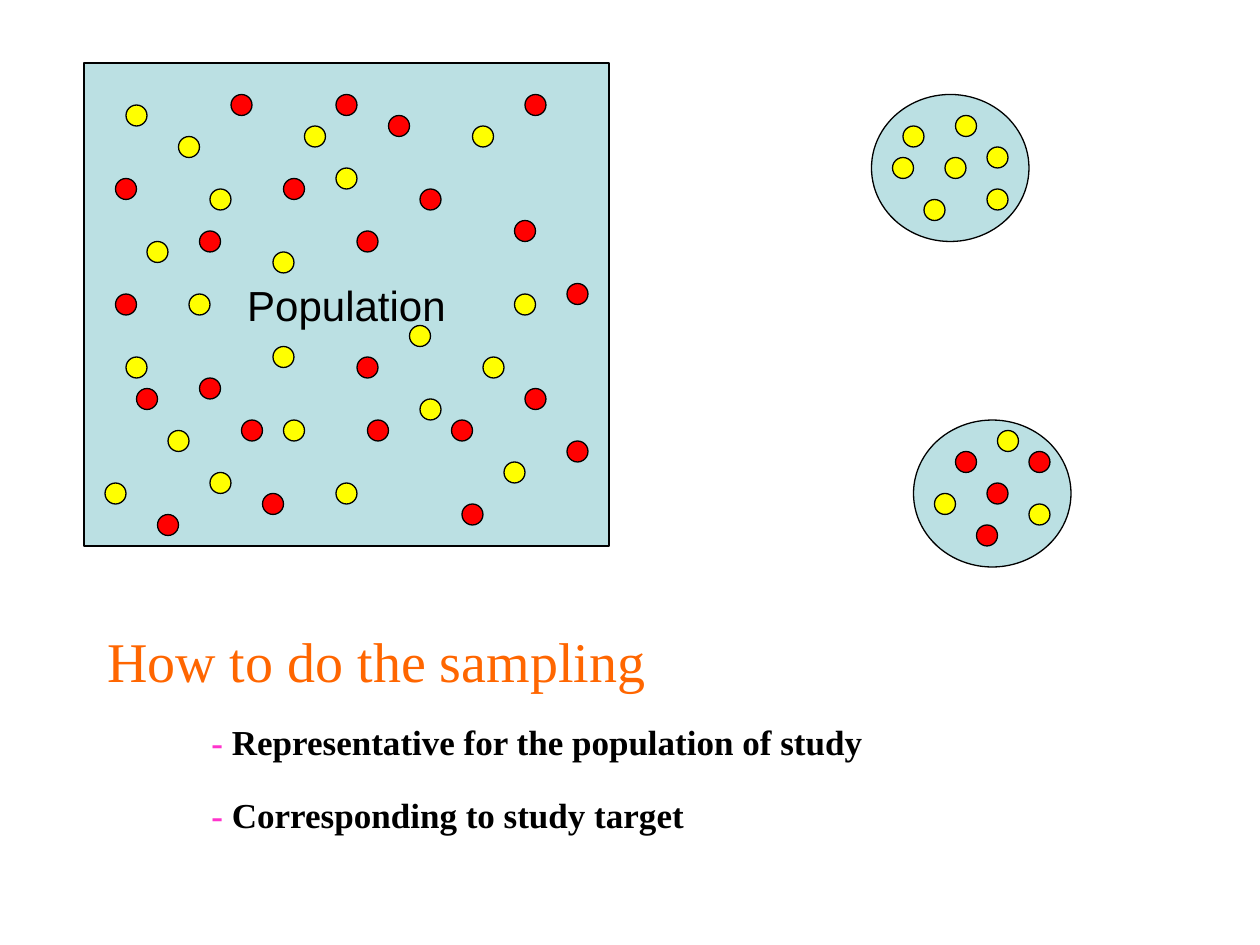
from dataclasses import dataclass
from pptx import Presentation
from pptx.dml.color import RGBColor as RGB
from pptx.enum.shapes import MSO_SHAPE as Shape
from pptx.enum.text import MSO_ANCHOR as Anchor, MSO_AUTO_SIZE as AutoSize, PP_ALIGN as Align
from pptx.util import Inches, Pt


@dataclass(frozen=True)
class Theme:
    area: str = "BBE0E3"
    yellow: str = "FFFF00"
    red: str = "FF0000"
    ink: str = "000000"
    heading: str = "FF6600"
    dash: str = "FF33CC"
    sans: str = "Arial"
    serif: str = "Times New Roman"
    label_size: int = 24
    heading_size: int = 32
    point_size: int = 20
    line: float = 0.75


T = Theme()
GRID = 12
DOT = 2

LABEL = "Population"
HEADING = "How to do the sampling"
POINTS = [
    ("Representative for the population of study", 5.67, 5.83),
    ("Corresponding to study target", 6.25, 4.83),
]

# Grid cells are twelfths of an inch.
POPULATION = (8, 6, 50, 46)
SAMPLES = [(83, 9, 15, 14), (87, 40, 15, 14)]
DOTS = {
    T.yellow: [
        (12, 10), (32, 16), (17, 13), (14, 23), (12, 34), (16, 41), (27, 40),
        (48, 44), (29, 12), (45, 12), (49, 28), (39, 31), (40, 38), (10, 46),
        (20, 45), (20, 18), (26, 33), (26, 24), (32, 46), (18, 28), (46, 34),
        (90, 15), (91, 11), (86, 12), (88, 19), (85, 15), (94, 18), (94, 14),
        (98, 48), (89, 47), (95, 41),
    ],
    T.red: [
        (19, 36), (25, 47), (40, 18), (22, 9), (37, 11), (11, 17), (49, 21),
        (50, 37), (44, 48), (35, 40), (23, 40), (34, 34), (34, 22), (13, 37),
        (50, 9), (54, 27), (54, 42), (32, 9), (11, 28), (15, 49), (27, 17),
        (19, 22), (43, 40),
        (91, 43), (94, 46), (93, 50), (98, 43),
    ],
}


def cells(*values):
    return [Inches(v / GRID) for v in values]


def place(sp, left, top, width, height):
    sp.left, sp.top, sp.width, sp.height = left, top, width, height


def paint(sp, fill):
    sp.fill.solid()
    sp.fill.fore_color.rgb = RGB.from_string(fill)
    sp.line.color.rgb = RGB.from_string(T.ink)
    sp.line.width = Pt(T.line)


def add_oval(slide, box, fill):
    sp = slide.shapes.add_shape(Shape.OVAL, *cells(*box))
    sp.shadow.inherit = False
    paint(sp, fill)


def write(sp, *runs, size, font, bold=False, align=Align.LEFT,
          anchor=Anchor.TOP, fit=AutoSize.NONE):
    tf = sp.text_frame
    tf.word_wrap = True
    tf.auto_size = fit
    tf.vertical_anchor = anchor
    p = tf.paragraphs[0]
    p.alignment = align
    p.space_before = Pt(0)
    for text, color in runs:
        r = p.add_run()
        r.text = text
        r.font.size = Pt(size)
        r.font.name = font
        r.font.bold = bold
        r.font.color.rgb = RGB.from_string(color)


def main():
    prs = Presentation()
    prs.slide_width, prs.slide_height = Inches(10), Inches(7.5)
    slide = prs.slides.add_slide(prs.slide_layouts[0])
    title, subtitle = slide.placeholders

    place(title, *cells(*POPULATION))
    paint(title, T.area)
    write(title, (LABEL, T.ink), size=T.label_size, font=T.sans,
          align=Align.CENTER, anchor=Anchor.MIDDLE)

    place(subtitle, *map(Inches, (0.75, 4.92, 5.17, 0.75)))
    write(subtitle, (HEADING, T.heading), size=T.heading_size, font=T.serif)

    for box in SAMPLES:
        add_oval(slide, box, T.area)
    for color, spots in DOTS.items():
        for x, y in spots:
            add_oval(slide, (x, y, DOT, DOT), color)

    for text, top, width in POINTS:
        sp = slide.shapes.add_textbox(*map(Inches, (1.58, top, width, 0.44)))
        write(sp, ("- ", T.dash), (text, T.ink), size=T.point_size,
              font=T.serif, bold=True, fit=AutoSize.SHAPE_TO_FIT_TEXT)

    prs.save("out.pptx")


if __name__ == "__main__":
    main()
